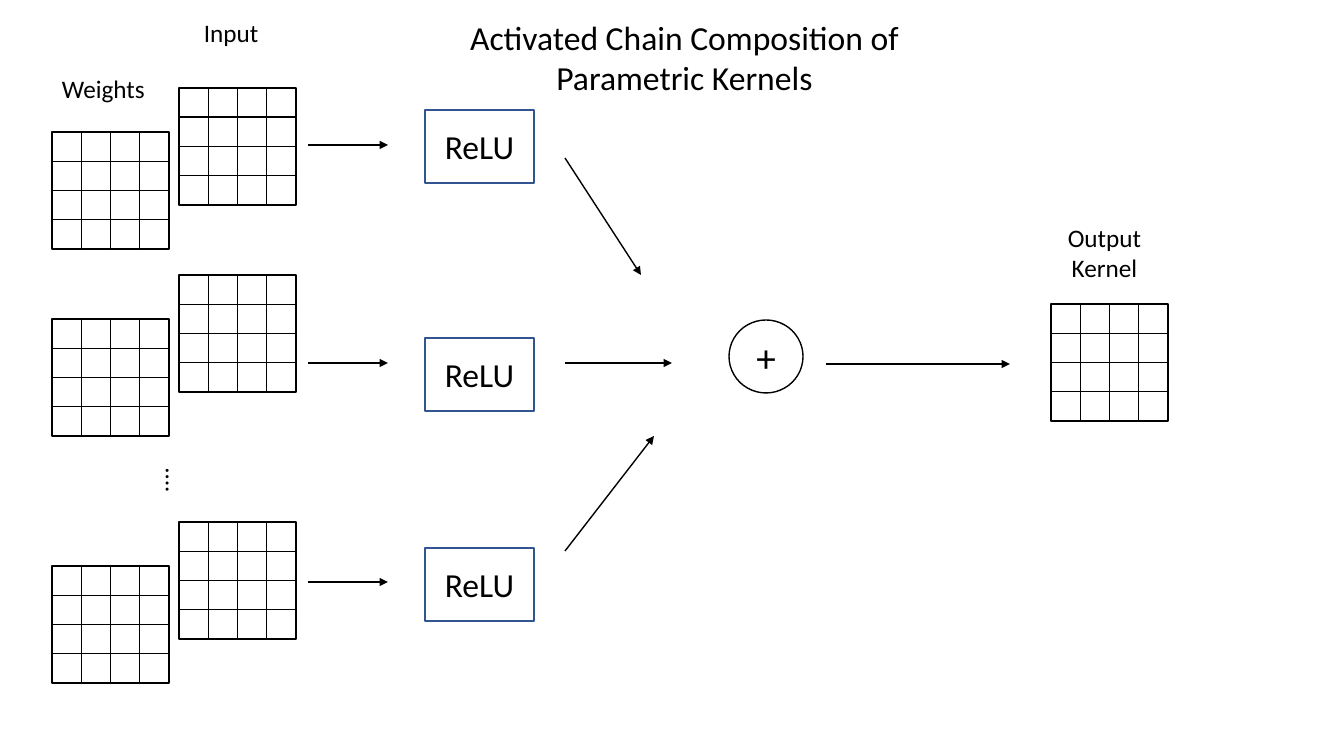
from typing import NamedTuple

from lxml import etree
from pptx import Presentation
from pptx.dml.color import RGBColor
from pptx.enum.shapes import MSO_CONNECTOR, MSO_SHAPE
from pptx.enum.text import MSO_ANCHOR, MSO_AUTO_SIZE, PP_ALIGN
from pptx.oxml.ns import qn
from pptx.util import Emu, Pt

RECTANGLE, OVAL = MSO_SHAPE.RECTANGLE, MSO_SHAPE.OVAL
STRAIGHT = MSO_CONNECTOR.STRAIGHT
LEFT, CENTER = PP_ALIGN.LEFT, PP_ALIGN.CENTER
MIDDLE = MSO_ANCHOR.MIDDLE
FIT_TEXT = MSO_AUTO_SIZE.SHAPE_TO_FIT_TEXT

BLACK = RGBColor(0x00, 0x00, 0x00)
BLUE = RGBColor(0x32, 0x54, 0x91)
FONT = "Calibri"
LINE_WIDTH = Pt(1)
EMU_PER_PIXEL = 914400 / 100.8

GRID_SIDE = 117
GRID_CELLS = 4
INPUT_X, WEIGHTS_X = 179, 52
WEIGHTS_DROP = 44


class Label(NamedTuple):
    text: str
    left: int
    top: int
    width: int
    height: int
    size: int = 18
    align: PP_ALIGN = CENTER
    rotation: int = 0


class Node(NamedTuple):
    kind: MSO_SHAPE
    text: str
    left: int
    top: int
    width: int
    height: int
    size: int
    color: RGBColor


class Arrow(NamedTuple):
    start_x: int
    start_y: int
    end_x: int
    end_y: int


class Branch(NamedTuple):
    input_top: int
    arrow_y: int
    relu_top: int


BRANCHES = [Branch(88, 145, 110), Branch(275, 363, 338), Branch(522, 582, 548)]

ARROWS = [
    Arrow(565, 158, 641, 275),
    Arrow(565, 363, 672, 363),
    Arrow(565, 551, 654, 436),
    Arrow(826, 364, 1010, 364),
]

LABELS = [
    Label("Activated Chain Composition of Parametric Kernels", 450, 12, 469, 92, size=24),
    Label("Input", 194, 12, 88, 40, align=LEFT),
    Label("Weights", 52, 68, 117, 40, align=LEFT),
    Label("….", 141, 473, 69, 41, align=LEFT, rotation=90),
    Label("Output Kernel", 1046, 217, 117, 72),
]


def px(pixels: float) -> Emu:
    return Emu(round(pixels * EMU_PER_PIXEL))


def write(shape, text: str, size: int, align: PP_ALIGN) -> None:
    shape.text_frame.text = text
    paragraph = shape.text_frame.paragraphs[0]
    paragraph.alignment = align
    paragraph.font.name = FONT
    paragraph.font.size = Pt(size)
    paragraph.font.color.rgb = BLACK


def add_outline(shapes, kind: MSO_SHAPE, box: tuple, color: RGBColor):
    shape = shapes.add_shape(kind, *map(px, box))
    shape.shadow.inherit = False
    shape.fill.background()
    shape.line.color.rgb = color
    shape.line.width = LINE_WIDTH
    return shape


def add_grid(slide, left: int, top: int) -> None:
    group = slide.shapes.add_group_shape()
    cell = GRID_SIDE / GRID_CELLS
    for row in range(GRID_CELLS):
        for column in range(GRID_CELLS):
            box = (left + column * cell, top + row * cell, cell, cell)
            add_outline(group.shapes, RECTANGLE, box, BLACK)


def add_node(slide, node: Node) -> None:
    box = (node.left, node.top, node.width, node.height)
    shape = add_outline(slide.shapes, node.kind, box, node.color)
    write(shape, node.text, node.size, CENTER)
    frame = shape.text_frame
    frame.vertical_anchor = MIDDLE
    frame.margin_left = frame.margin_right = frame.margin_top = frame.margin_bottom = 0


def add_arrow(slide, arrow: Arrow) -> None:
    connector = slide.shapes.add_connector(STRAIGHT, *map(px, arrow))
    connector.line.color.rgb = BLACK
    connector.line.width = LINE_WIDTH
    properties = connector.element.spPr
    etree.SubElement(properties.find(qn("a:ln")), qn("a:tailEnd"), type="triangle")
    etree.SubElement(properties, qn("a:effectLst"))


def add_label(slide, label: Label) -> None:
    box = slide.shapes.add_textbox(*map(px, (label.left, label.top, label.width, label.height)))
    box.rotation = label.rotation
    box.text_frame.word_wrap = True
    box.text_frame.auto_size = FIT_TEXT
    write(box, label.text, label.size, label.align)


presentation = Presentation()
presentation.slide_width = px(1344)
presentation.slide_height = px(756)
slide = presentation.slides.add_slide(presentation.slide_layouts[6])

# Branches: input and weights grids, arrow, activation
for branch in BRANCHES:
    add_grid(slide, INPUT_X, branch.input_top)
    add_grid(slide, WEIGHTS_X, branch.input_top + WEIGHTS_DROP)
    add_arrow(slide, Arrow(308, branch.arrow_y, 388, branch.arrow_y))
    add_node(slide, Node(RECTANGLE, "ReLU", 425, branch.relu_top, 109, 73, 24, BLUE))

# Sum and output kernel
for arrow in ARROWS:
    add_arrow(slide, arrow)
add_node(slide, Node(OVAL, "+", 729, 320, 74, 73, 28, BLACK))
add_grid(slide, 1051, 304)

# Title and labels
for label in LABELS:
    add_label(slide, label)

presentation.save("out.pptx")
